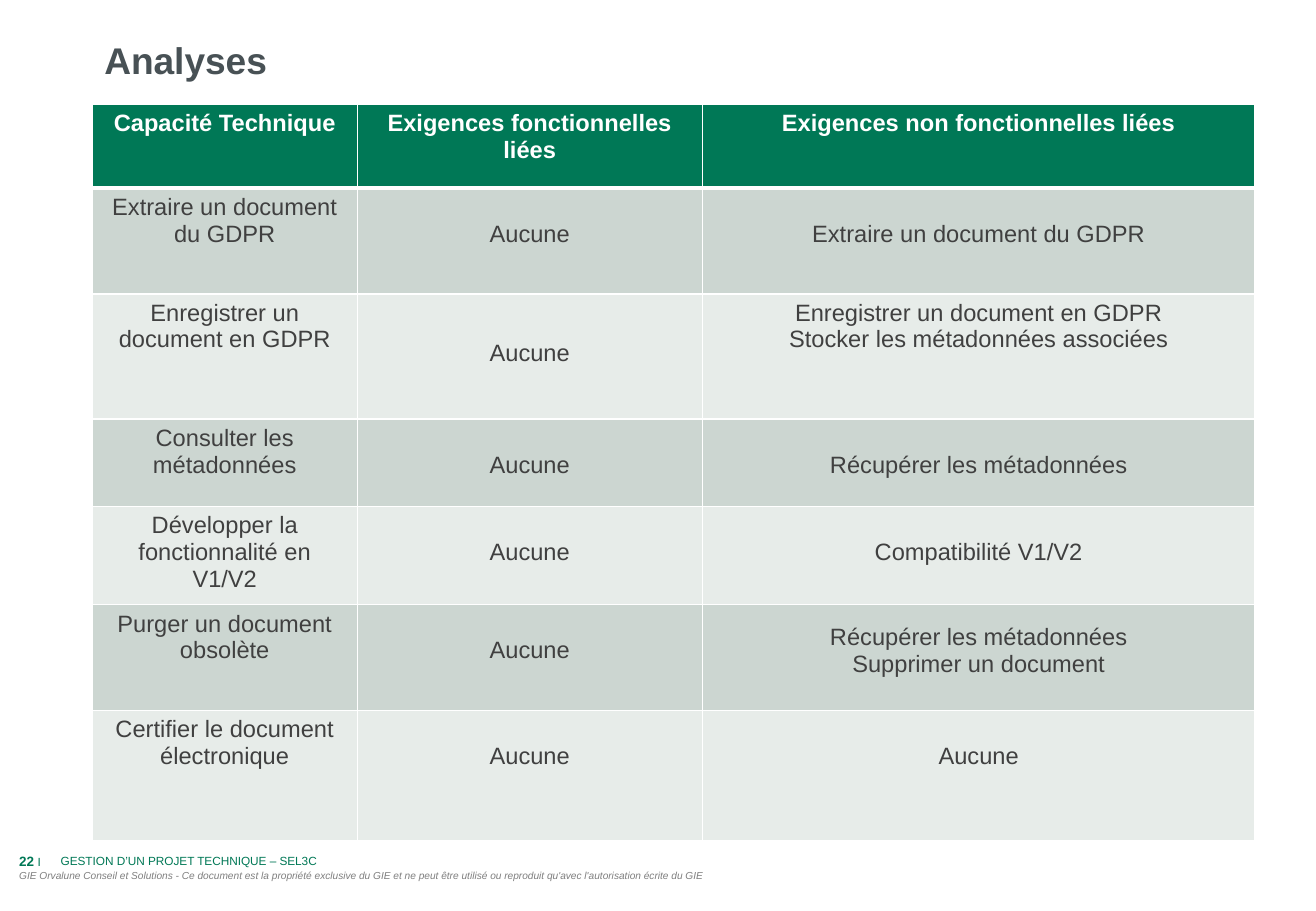
from lxml import etree
from pptx import Presentation
from pptx.dml.color import RGBColor
from pptx.enum.text import MSO_ANCHOR, PP_ALIGN
from pptx.oxml.ns import qn
from pptx.util import Inches, Pt

TOP, MIDDLE = MSO_ANCHOR.TOP, MSO_ANCHOR.MIDDLE
CENTER = PP_ALIGN.CENTER
GREEN = RGBColor(0x00, 0x78, 0x56)
SLATE = RGBColor(0x48, 0x51, 0x55)
GREY = RGBColor(0x7F, 0x7F, 0x7F)
DARK = RGBColor(0x40, 0x40, 0x40)
WHITE = RGBColor(0xFF, 0xFF, 0xFF)
BANDS = [RGBColor(0xE7, 0xEC, 0xE9), RGBColor(0xCC, 0xD6, 0xD1)]
LINE = 0.22  # height of one line of table text


def add_span(para, text, size, color, bold=False, italic=False):
    span = para.add_run()
    span.text = text
    span.font.name = "Arial"
    span.font.size = Pt(size)
    span.font.color.rgb = color
    span.font.bold = bold
    span.font.italic = italic


def add_border(cell, side, width):
    border = etree.SubElement(cell._tc.get_or_add_tcPr(), qn(f"a:ln{side}"), w=str(Pt(width)))
    fill = etree.SubElement(border, qn("a:solidFill"))
    etree.SubElement(fill, qn("a:srgbClr"), val=str(WHITE))


deck = Presentation()
deck.slide_width = Inches(10.83)
deck.slide_height = Inches(7.5)
page = deck.slides.add_slide(deck.slide_layouts[6])

# Title and footer: place, anchor, left inset, then the spans
texts = [
    ((0.06, 6.97, 0.53, 0.24), TOP, 0.1,
     [("22", 8, GREEN, True), (" I", 7, GREEN)]),
    ((0.06, 7.11, 7.93, 0.2), TOP, 0.1,
     [("GIE Orvalune Conseil et Solutions - Ce document est la propriété exclusive du GIE "
       "et ne peut être utilisé ou reproduit qu'avec l'autorisation écrite du GIE",
       6, GREY, False, True)]),
    ((0.76, 0.11, 9.21, 0.76), MIDDLE, 0.1, [("Analyses", 22, SLATE, True)]),
    ((0.5, 7.01, 6.24, 0.16), MIDDLE, 0,
     [("GESTION D’UN PROJET TECHNIQUE – SEL3C", 7, GREEN)]),
]
for place, anchor, inset, spans in texts:
    box = page.shapes.add_textbox(*[Inches(length) for length in place])
    frame = box.text_frame
    frame.word_wrap = True
    frame.vertical_anchor = anchor
    frame.margin_left = Inches(inset)
    for span in spans:
        add_span(frame.paragraphs[0], *span)

# Requirements: height, texts, and lines of space above columns two and three
rows = [
    (0.69, ["Capacité Technique", "Exigences fonctionnelles liées",
            "Exigences non fonctionnelles liées"], 0, 0),
    (0.87, ["Extraire un document du GDPR", "Aucune", "Extraire un document du GDPR"], 1, 1),
    (1.03, ["Enregistrer un document en GDPR", "Aucune",
            "Enregistrer un document en GDPR\nStocker les métadonnées associées"], 1.5, 0),
    (0.72, ["Consulter les métadonnées", "Aucune", "Récupérer les métadonnées"], 1, 1),
    (0.81, ["Développer la fonctionnalité en V1/V2", "Aucune", "Compatibilité V1/V2"], 1, 1),
    (0.87, ["Purger un document obsolète", "Aucune",
            "Récupérer les métadonnées\nSupprimer un document"], 1, 0.5),
    (1.07, ["Certifier le document électronique", "Aucune", "Aucune"], 1, 1),
]
widths = [2.18, 2.84, 4.55]
table = page.shapes.add_table(len(rows), len(widths), Inches(0.76), Inches(0.86),
                              Inches(9.57), Inches(6.07)).table
for column, width in zip(table.columns, widths):
    column.width = Inches(width)

for r, (height, labels, *drops) in enumerate(rows):
    table.rows[r].height = Inches(height)
    header = r == 0
    for c, (label, drop) in enumerate(zip(labels, [0, *drops])):
        cell = table.cell(r, c)
        cell.margin_top = Inches(0.05 + drop * LINE)
        for side in "LRTB":
            under_header = (header and side == "B") or (r == 1 and side == "T")
            add_border(cell, side, 3 if under_header else 1)
        cell.fill.solid()
        cell.fill.fore_color.rgb = GREEN if header else BANDS[r % 2]
        for i, line in enumerate(label.split("\n")):
            para = cell.text_frame.add_paragraph() if i else cell.text_frame.paragraphs[0]
            para.alignment = CENTER
            add_span(para, line, 14, WHITE if header else DARK, header)

deck.save("out.pptx")
